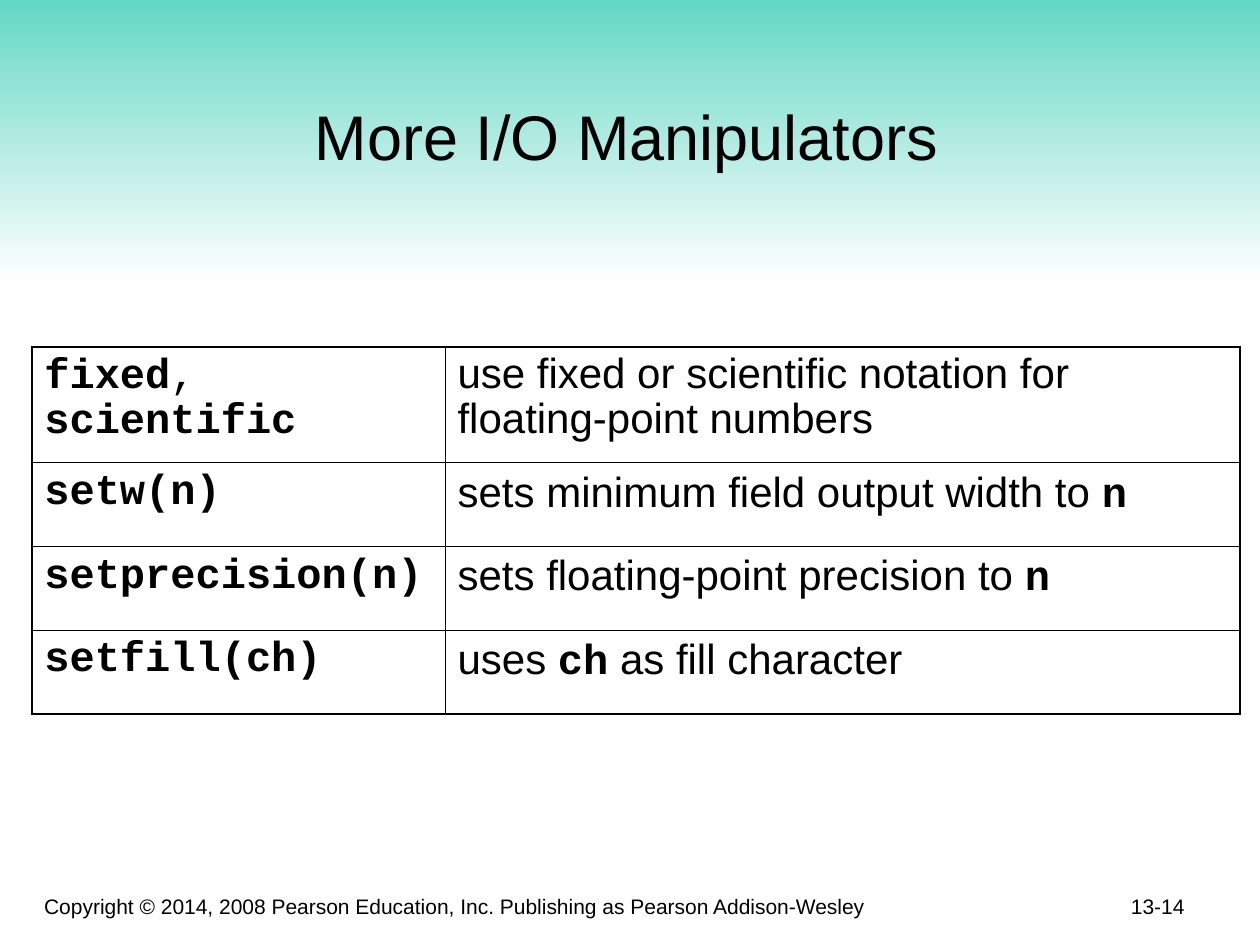
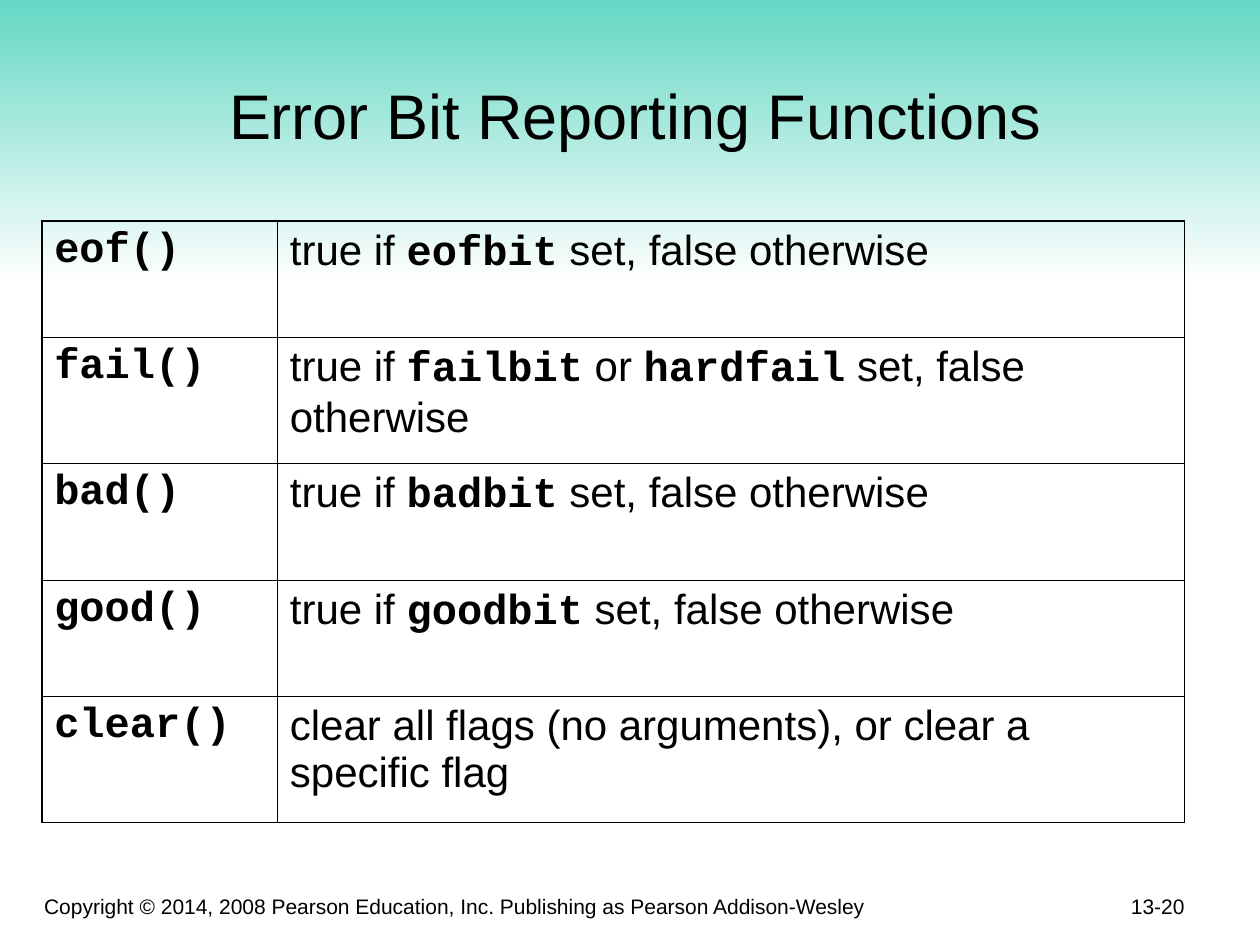
from lxml import etree
from pptx import Presentation
from pptx.dml.color import RGBColor
from pptx.enum.shapes import MSO_SHAPE as Shape
from pptx.enum.text import MSO_ANCHOR as Anchor, PP_ALIGN as Align
from pptx.oxml import parse_xml
from pptx.util import Cm, Pt

BLACK = RGBColor(0x00, 0x00, 0x00)
WHITE = RGBColor(0xFF, 0xFF, 0xFF)
MINT = RGBColor(0x5F, 0xD6, 0xC2)
SANS, MONO = "Arial", "Courier New"
THICK, THIN = 1.08, 0.45
WIDE, HIGH = 25.4, 19.05
FOOT = "Copyright © 2014, 2008 Pearson Education, Inc. Publishing as Pearson Addison-Wesley"
DRAW = "http://schemas.openxmlformats.org/drawingml/2006/main"

# Backticks mark bold code.
PAGES = [
    {
        "title": "More I/O Manipulators ",
        "top": 0.84,
        "page": "13-14",
        "grid": (0.64, 6.99),
        "cols": (8.33, 16.03),
        "heights": (2.34, 1.69, 1.69, 1.69),
        "spacing": 0.95,
        "rows": [
            ("`fixed`, `scientific`", "use fixed or scientific notation for floating-point numbers"),
            ("`setw(n)`", "sets minimum field output width to `n`"),
            ("`setprecision(n)`", "sets floating-point precision to `n`"),
            ("`setfill(ch)`", "uses `ch` as fill character"),
        ],
    },
    {
        "title": "Error Bit Reporting Functions",
        "top": 0.42,
        "page": "13-20",
        "grid": (0.84, 4.45),
        "cols": (4.75, 18.29),
        "heights": (2.35, 2.54, 2.35, 2.35, 2.54),
        "spacing": 1.0,
        "rows": [
            ("`eof()`", "true if `eofbit` set, false otherwise"),
            ("`fail()`", "true if `failbit` or `hardfail` set, false otherwise"),
            ("`bad()`", "true if `badbit` set, false otherwise"),
            ("`good()`", "true if `goodbit` set, false otherwise"),
            ("`clear()`", "clear all flags (no arguments), or clear a specific flag"),
        ],
    },
]


def style(font, size, name=SANS, bold=False):
    font.size = Pt(size)
    font.name = name
    font.bold = bold
    font.color.rgb = BLACK


def add_band(slide):
    band = slide.shapes.add_shape(Shape.RECTANGLE, Cm(0), Cm(-0.2), Cm(WIDE), Cm(5.92))
    band.shadow.inherit = False
    band.line.fill.background()
    band.fill.gradient()
    band.fill.gradient_angle = 270
    for stop, tint in zip(band.fill.gradient_stops, (MINT, WHITE)):
        stop.color.rgb = tint


def add_text(slide, text, place, size, align=Align.LEFT):
    frame = slide.shapes.add_textbox(*map(Cm, place)).text_frame
    frame.word_wrap = True
    frame.vertical_anchor = Anchor.BOTTOM
    frame.text = text
    line = frame.paragraphs[0]
    line.alignment = align
    style(line.runs[0].font, size)


def add_edge(cell, side, width):
    edge = parse_xml(
        f'<a:ln{side} xmlns:a="{DRAW}" w="{Pt(width)}"><a:solidFill>'
        f'<a:srgbClr val="{BLACK}"/></a:solidFill></a:ln{side}>'
    )
    props = cell._tc.get_or_add_tcPr()
    count = sum(etree.QName(part).localname.startswith("ln") for part in props)
    props.insert(count, edge)


def fill_cell(cell, text, plain, spacing):
    cell.fill.background()
    line = cell.text_frame.paragraphs[0]
    line.line_spacing = spacing
    for spot, piece in enumerate(text.split("`")):
        if piece:
            run = line.add_run()
            run.text = piece
            code = spot % 2 == 1
            style(run.font, 24, MONO if code else plain, code)


def add_grid(slide, page):
    rows, cols, heights = page["rows"], page["cols"], page["heights"]
    place = (*page["grid"], sum(cols), sum(heights))
    table = slide.shapes.add_table(len(rows), len(cols), *map(Cm, place)).table
    table.first_row = table.horz_banding = False
    for col, width in zip(table.columns, cols):
        col.width = Cm(width)
    for row, height in zip(table.rows, heights):
        row.height = Cm(height)
    for r, texts in enumerate(rows):
        for c, text in enumerate(texts):
            cell = table.cell(r, c)
            fill_cell(cell, text, (MONO, SANS)[c], page["spacing"])
            outer = {
                "L": c == 0,
                "R": c == len(cols) - 1,
                "T": r == 0,
                "B": r == len(rows) - 1,
            }
            for side, rim in outer.items():
                add_edge(cell, side, THICK if rim else THIN)


def main():
    deck = Presentation()
    deck.slide_width, deck.slide_height = Cm(WIDE), Cm(HIGH)
    for page in PAGES:
        slide = deck.slides.add_slide(deck.slide_layouts[6])
        add_band(slide)
        add_text(slide, FOOT, (0.64, 17.58, 17.15, 1.07), 12)
        add_text(slide, page["title"], (0.84, page["top"], 23.93, 2.77), 36, Align.CENTER)
        add_grid(slide, page)
        add_text(slide, page["page"], (18.85, 17.37, 5.28, 1.27), 12, Align.RIGHT)
    deck.save("out.pptx")


if __name__ == "__main__":
    main()
